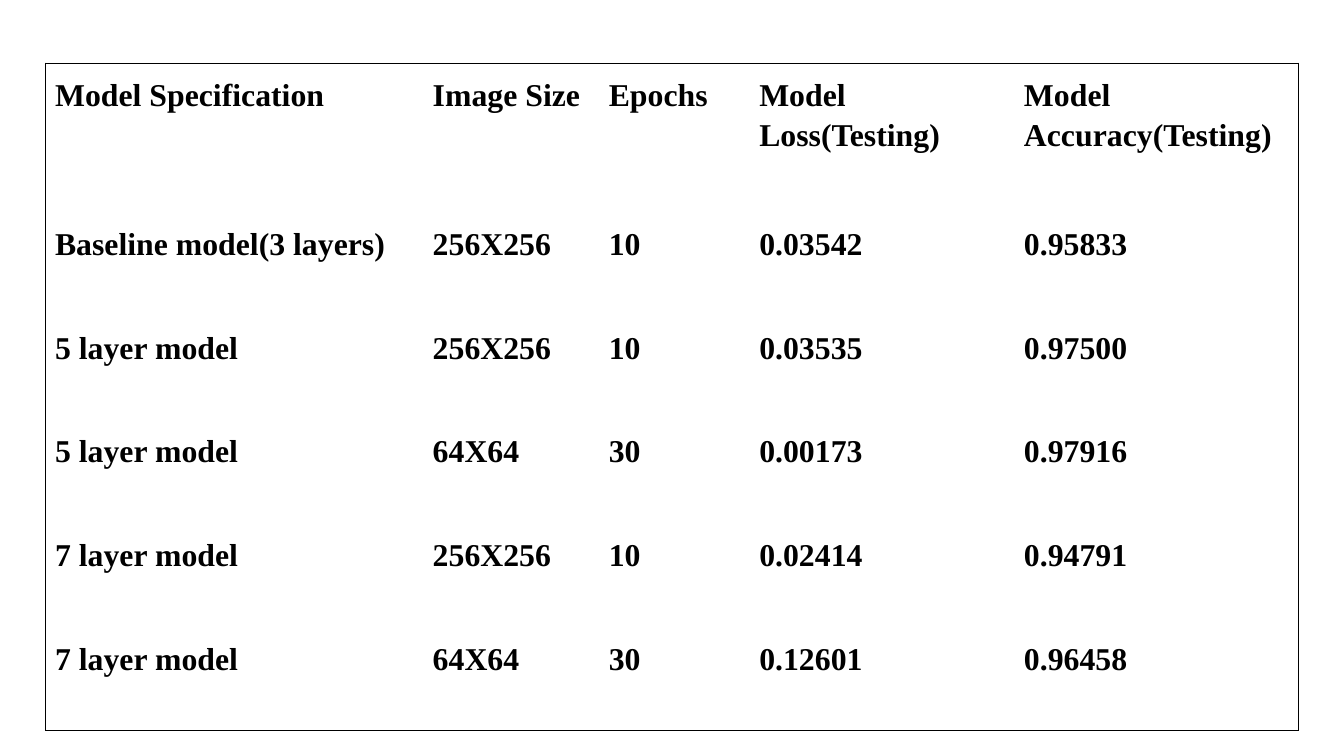
import pptx
import pptx.util
import pptx.dml.color
import pptx.enum.text
import pptx.oxml.ns
import lxml.etree

RESULTS = [
    ("Model Specification", "Image Size", "Epochs", "Model Loss(Testing)", "Model Accuracy(Testing)"),
    ("Baseline model(3 layers)", "256X256", "10", "0.03542", "0.95833"),
    ("5 layer model", "256X256", "10", "0.03535", "0.97500"),
    ("5 layer model", "64X64", "30", "0.00173", "0.97916"),
    ("7 layer model", "256X256", "10", "0.02414", "0.94791"),
    ("7 layer model", "64X64", "30", "0.12601", "0.96458"),
]
THEME = {"font": "Times New Roman", "size": 17, "ink": "000000", "frame": 0.75}
SLIDE_WIDTH = 10
SLIDE_HEIGHT = SLIDE_WIDTH * 9 / 16
LEFT, TOP, MARGIN = 0.34, 0.47, 0.07
COLUMN_WIDTHS = (2.81, 1.31, 1.12, 1.97, 2.11)
TABLE_HEIGHT, HEADER_HEIGHT = 4.97, 1.11
BODY_ROWS = len(RESULTS) - 1
ROW_HEIGHTS = (HEADER_HEIGHT,) + ((TABLE_HEIGHT - HEADER_HEIGHT) / BODY_ROWS,) * BODY_ROWS
inch = pptx.util.Inches


def add_borders(cell, sides):
    properties = cell._tc.get_or_add_tcPr()
    for position, (side, shown) in enumerate(sides.items()):
        line = lxml.etree.Element(pptx.oxml.ns.qn("a:" + side))
        properties.insert(position, line)
        if shown:
            line.set("w", str(int(pptx.util.Pt(THEME["frame"]))))
            fill = lxml.etree.SubElement(line, pptx.oxml.ns.qn("a:solidFill"))
            lxml.etree.SubElement(fill, pptx.oxml.ns.qn("a:srgbClr"), val=THEME["ink"])
        else:
            lxml.etree.SubElement(line, pptx.oxml.ns.qn("a:noFill"))


def write_cell(cell, text):
    cell.margin_left = cell.margin_right = inch(MARGIN)
    cell.margin_top = cell.margin_bottom = inch(MARGIN)
    cell.fill.background()
    para = cell.text_frame.paragraphs[0]
    para.alignment = pptx.enum.text.PP_ALIGN.JUSTIFY
    para.line_spacing = 1.15
    para.space_before = pptx.util.Pt(12)
    span = para.add_run()
    span.text = text
    span.font.name = THEME["font"]
    span.font.size = pptx.util.Pt(THEME["size"])
    span.font.bold = True
    span.font.color.rgb = pptx.dml.color.RGBColor.from_string(THEME["ink"])


deck = pptx.Presentation()
deck.slide_width, deck.slide_height = inch(SLIDE_WIDTH), inch(SLIDE_HEIGHT)
page = deck.slides.add_slide(deck.slide_layouts[6])
table = page.shapes.add_table(
    len(ROW_HEIGHTS), len(COLUMN_WIDTHS), inch(LEFT), inch(TOP),
    inch(sum(COLUMN_WIDTHS)), inch(TABLE_HEIGHT)).table
table.first_row = table.horz_banding = False
for column, width in zip(table.columns, COLUMN_WIDTHS):
    column.width = inch(width)
for row, height in zip(table.rows, ROW_HEIGHTS):
    row.height = inch(height)

last_row, last_column = len(ROW_HEIGHTS) - 1, len(COLUMN_WIDTHS) - 1
for r, record in enumerate(RESULTS):
    for c, text in enumerate(record):
        cell = table.cell(r, c)
        write_cell(cell, text)
        add_borders(cell, {"lnL": c == 0, "lnR": c == last_column,
                           "lnT": r == 0, "lnB": r == last_row})

deck.save("out.pptx")
